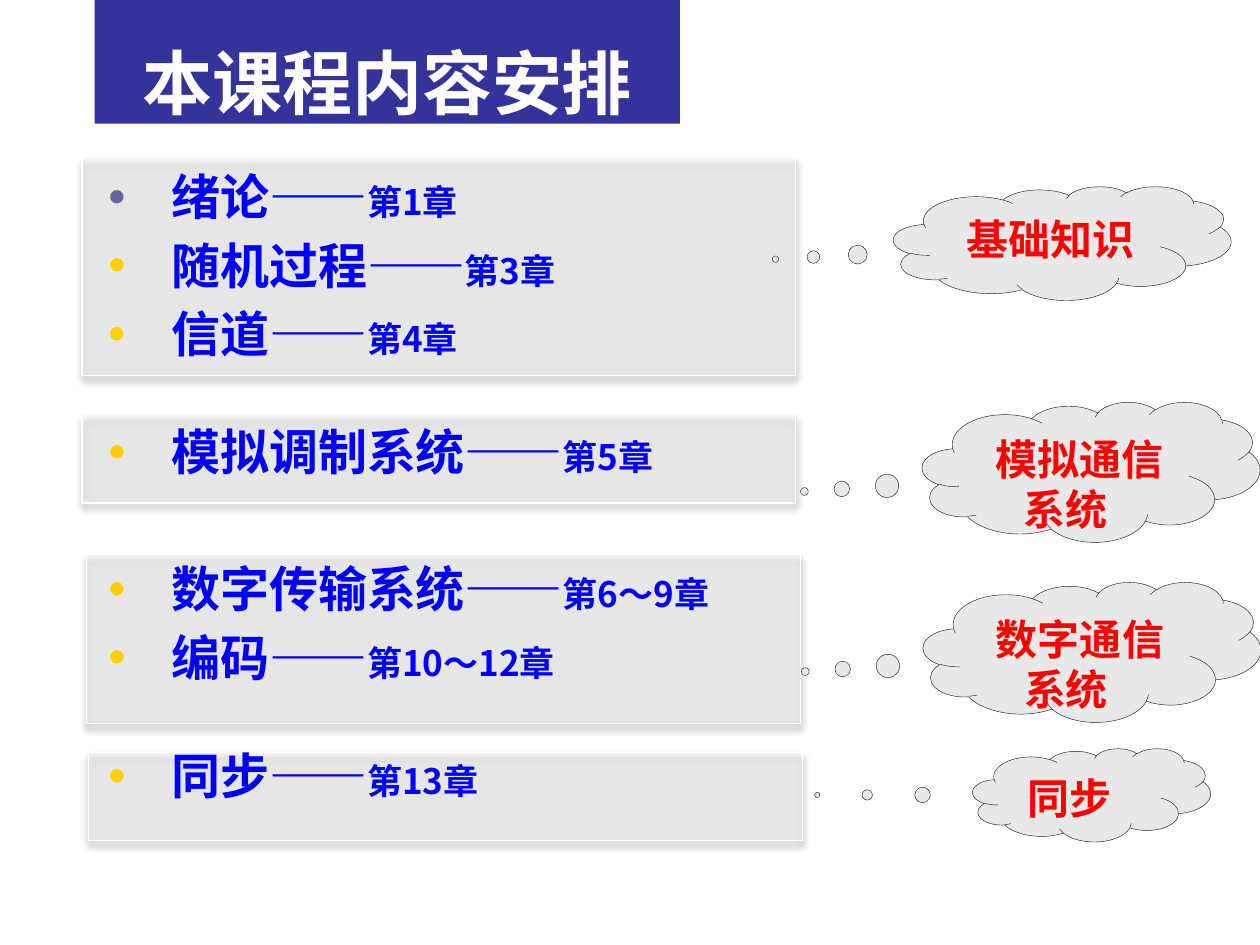
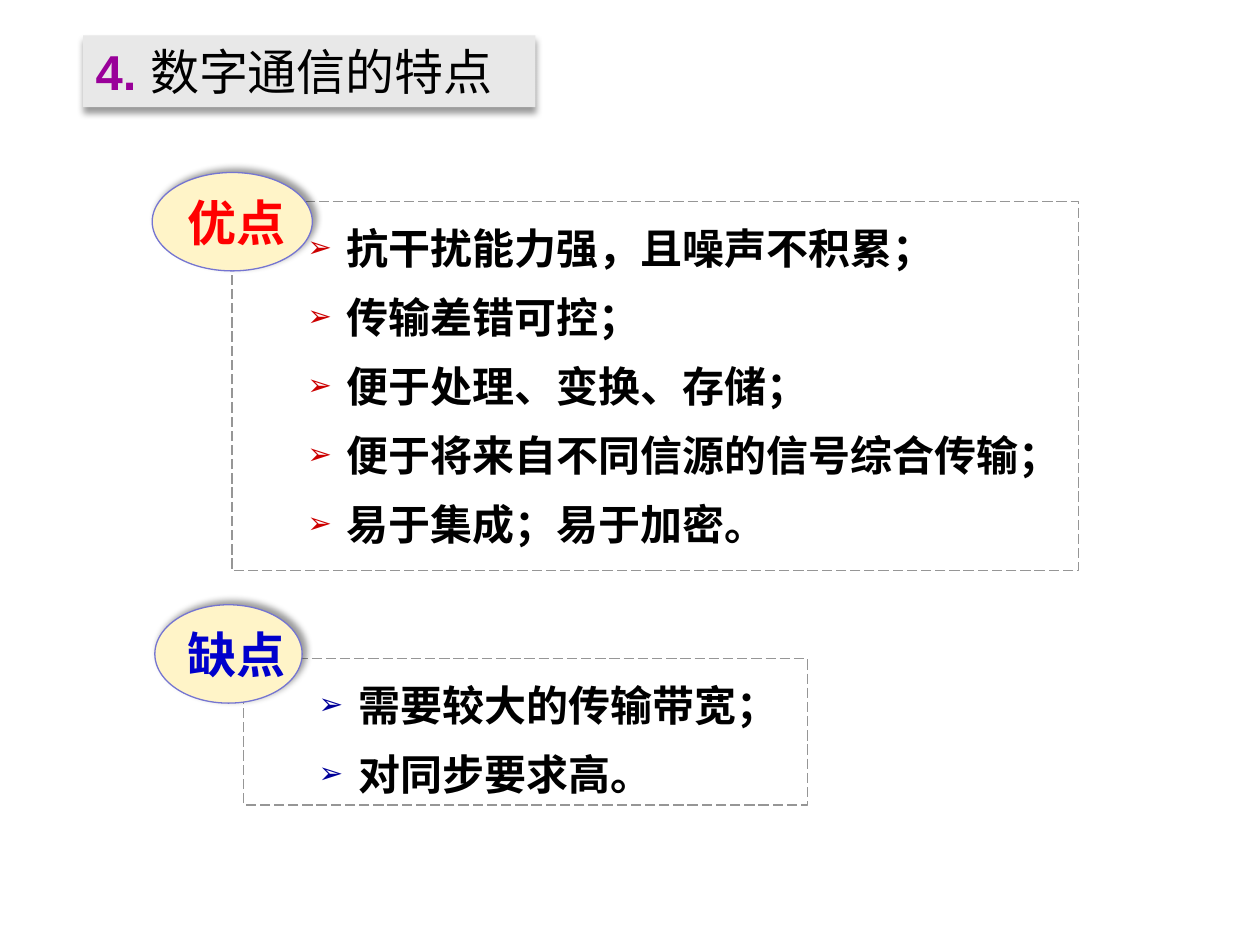
from lxml.etree import SubElement
from pptx import Presentation
from pptx.dml.color import RGBColor
from pptx.enum.dml import MSO_LINE
from pptx.enum.shapes import MSO_SHAPE as Shape
from pptx.enum.text import MSO_ANCHOR as Anchor, MSO_AUTO_SIZE as AutoSize, PP_ALIGN as Align
from pptx.oxml.ns import qn
from pptx.util import Pt

CJK = "Noto Sans CJK SC"
WHITE, BLACK, RED, BLUE = "FFFFFF", "000000", "FF0000", "0000FF"
GREY = "E8E8E8"

# Course outline: positions are left, top, width, height in points
COURSE_TITLE = "本课程内容安排"
PANELS = [
    (46.8, 90, 408, 124.5),
    (46.8, 237, 408, 50.5),
    (49.5, 316.8, 408, 96.5),
    (50.5, 430, 408, 50.5),
]
# topic, chapters, bullet colour, line height, space before
TOPICS = [
    ("绪论", "第1章", "666699", 33.5, 0),
    ("随机过程", "第3章", "FFCF01", 33.5, 5.6),
    ("信道", "第4章", "FFCF01", 33.5, 5.6),
    ("模拟调制系统", "第5章", "FFCF01", 33.5, 34),
    ("数字传输系统", "第6～9章", "FFCF01", 24.3, 54),
    ("编码", "第10～12章", "FFCF01", 33.5, 5.7),
    ("同步", "第13章", "FFCF01", 33.5, 34),
]
# lines, position, pointer offset
CLOUDS = [
    (["基础知识"], (510.5, 106.5, 193, 65), (-0.849, 0.14)),
    (["模拟通信", "系统"], (527, 229.7, 193, 80), (-0.849, 0.14)),
    (["数字通信", "系统"], (527.5, 332.6, 193, 80), (-0.849, 0.14)),
    (["同步"], (555.8, 427.7, 136, 53.3), (-1.153, -0.001)),
]

# Features of digital communication
FEATURES_TITLE = ("4. ", "数字通信的特点")
PROS = ["抗干扰能力强，且噪声不积累；", "传输差错可控；", "便于处理、变换、存储；",
        "便于将来自不同信源的信号综合传输；", "易于集成；易于加密。"]
CONS = ["需要较大的传输带宽；", "对同步要求高。"]
PROS_BOX = (132.5, 115.2, 484, 211)
CONS_BOX = (139, 376.5, 322.5, 83.5)
# text, colour, position, sideways shift of the text
BADGES = [
    ("优点", RED, (87, 98.6, 91.5, 56.2), 2.6),
    ("缺点", "0000CC", (88.5, 345.6, 84.2, 56.2), 4.7),
]


def rgb(hex_colour):
    return RGBColor.from_string(hex_colour)


def place(s, box):
    s.left, s.top, s.width, s.height = map(Pt, box)


def style(s, fill=None, line=None, width=0.75, alpha=None, shadow_angle=None):
    """Set fill, outline and, if an angle is given, a soft shadow."""
    if fill:
        s.fill.solid()
        s.fill.fore_color.rgb = rgb(fill)
        if alpha:
            colour = s.element.spPr.find(qn("a:solidFill"))[0]
            SubElement(colour, qn("a:alpha"), val=str(alpha * 1000))
    else:
        s.fill.background()
    if line:
        s.line.color.rgb = rgb(line)
        s.line.width = Pt(width)
    else:
        s.line.fill.background()
    effects = s.element.spPr.find(qn("a:effectLst"))
    if effects is None:
        effects = SubElement(s.element.spPr, qn("a:effectLst"))
    if shadow_angle is not None:
        shadow = SubElement(effects, qn("a:outerShdw"), blurRad=str(Pt(4)), dist=str(Pt(3)),
                            dir=str(shadow_angle * 60000), algn="ctr", rotWithShape="0")
        colour = SubElement(shadow, qn("a:srgbClr"), val=BLACK)
        SubElement(colour, qn("a:alpha"), val="40000")


def add_shape(slide, kind, box, **look):
    s = slide.shapes.add_shape(kind, *map(Pt, box))
    s.shadow.inherit = False
    style(s, **look)
    return s


def frame(s, anchor=Anchor.TOP, margins=(7.2, 3.6, 7.2, 3.6), wrap=True):
    """Set up the text frame; margins are left, top, right, bottom."""
    tf = s.text_frame
    tf.auto_size = AutoSize.NONE
    tf.word_wrap = wrap
    tf.vertical_anchor = anchor
    tf.margin_left, tf.margin_top, tf.margin_right, tf.margin_bottom = map(Pt, margins)
    return tf


def add_paragraph(tf, index, align=Align.LEFT, line=None, before=0):
    p = tf.add_paragraph() if index else tf.paragraphs[0]
    p.alignment = align
    p.space_before = Pt(before if index else 0)
    if line:
        p.line_spacing = Pt(line)
    return p


def add_run(p, text, size, colour, font=CJK, bold=True):
    r = p.add_run()
    r.text = text
    r.font.size, r.font.bold, r.font.name = Pt(size), bold, font
    r.font.color.rgb = rgb(colour)
    SubElement(r.font._element, qn("a:ea"), typeface=font)


def set_indent(p, left, first=0):
    pPr = p._p.get_or_add_pPr()
    pPr.set("marL", str(Pt(left)))
    pPr.set("indent", str(Pt(first)))
    return pPr


def add_bullet(p, char, colour, left, hang, percent=100):
    pPr = set_indent(p, left, -hang)
    SubElement(SubElement(pPr, qn("a:buClr")), qn("a:srgbClr"), val=colour)
    SubElement(pPr, qn("a:buSzPct"), val=str(percent * 1000))
    SubElement(pPr, qn("a:buFont"), typeface="Arial")
    SubElement(pPr, qn("a:buChar"), char=char)


def bring_to_front(s):
    s.element.getparent().append(s.element)


def fill_features(s, features, bullet_colour, font):
    style(s, line="969696")
    s.line.dash_style = MSO_LINE.LONG_DASH
    tf = frame(s, margins=(7.2, 6, 0, 3.6))
    for i, feature in enumerate(features):
        p = add_paragraph(tf, i, line=34.6, before=4.8)
        add_bullet(p, "➢", bullet_colour, 58.5, 22.5, 70)
        add_run(p, feature, 24, BLACK, font)


def build_outline(slide):
    title, body = slide.placeholders
    place(title, (54, 0, 334.5, 70.6))
    style(title, fill="333399")
    tf = frame(title, Anchor.BOTTOM, (7.2, 0, 7.2, 0))
    add_run(add_paragraph(tf, 0, Align.CENTER), COURSE_TITLE, 40, WHITE)

    for box in PANELS:
        add_shape(slide, Shape.RECTANGLE, box, fill="F2F2F2", alpha=30,
                  line=WHITE, shadow_angle=90)

    place(body, (54.7, 91.9, 370, 396))
    tf = frame(body)
    for i, (topic, chapters, colour, line, before) in enumerate(TOPICS):
        p = add_paragraph(tf, i, line=line, before=before)
        add_bullet(p, "•", colour, 36, 36)
        add_run(p, topic + "——", 28, BLUE)
        add_run(p, chapters, 20, BLUE)
    bring_to_front(body)

    for lines, box, pointer in CLOUDS:
        s = add_shape(slide, Shape.CLOUD_CALLOUT, box, fill=GREY, line="1C1C1C", width=0.25)
        s.adjustments[0], s.adjustments[1] = pointer
        tf = frame(s, margins=(-8, 5.5, 8, 0))
        for i, text in enumerate(lines):
            p = add_paragraph(tf, i, Align.CENTER, line=29)
            set_indent(p, 16 if len(text) == 4 else 0)
            add_run(p, text, 24, RED)


def build_features(slide):
    title, body = slide.placeholders
    place(title, (47.5, 20.2, 258.5, 41))
    style(title, fill=GREY, shadow_angle=90)
    p = add_paragraph(frame(title, Anchor.MIDDLE, (7.2, 0, 0, 0)), 0)
    number, heading = FEATURES_TITLE
    add_run(p, number, 28, "990099", "Arial")
    add_run(p, heading, 28, BLACK, bold=False)

    place(body, PROS_BOX)
    fill_features(body, PROS, "CC0000", CJK)
    fill_features(add_shape(slide, Shape.RECTANGLE, CONS_BOX), CONS, "000099", "Cabin")

    for text, colour, box, shift in BADGES:
        s = add_shape(slide, Shape.OVAL, box, fill="FFF4C8", line="7575D1", shadow_angle=315)
        tf = frame(s, Anchor.MIDDLE, (shift, 0, -shift, 0), wrap=False)
        add_run(add_paragraph(tf, 0, Align.CENTER), text, 28, colour)


def main():
    prs = Presentation()
    prs.slide_width, prs.slide_height = Pt(720), Pt(540)
    for build in (build_outline, build_features):
        build(prs.slides.add_slide(prs.slide_layouts[1]))
    prs.save("out.pptx")


if __name__ == "__main__":
    main()
